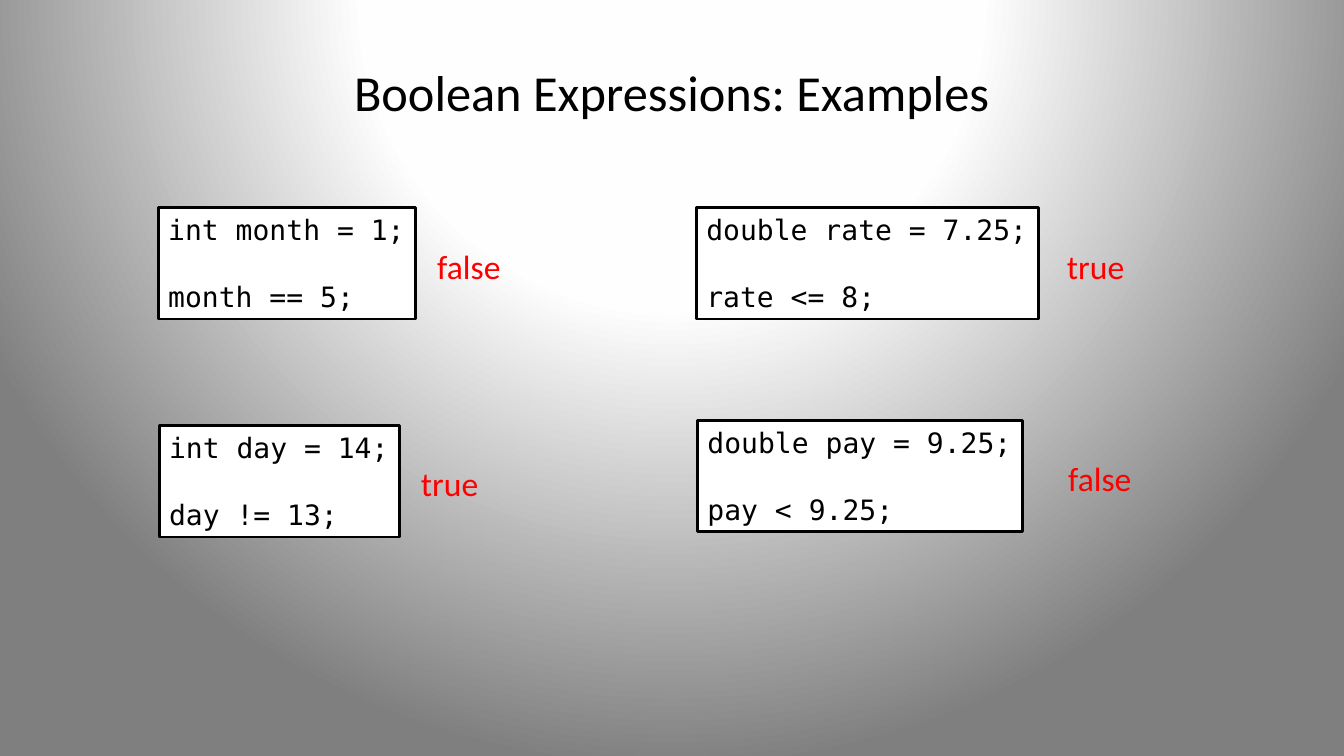
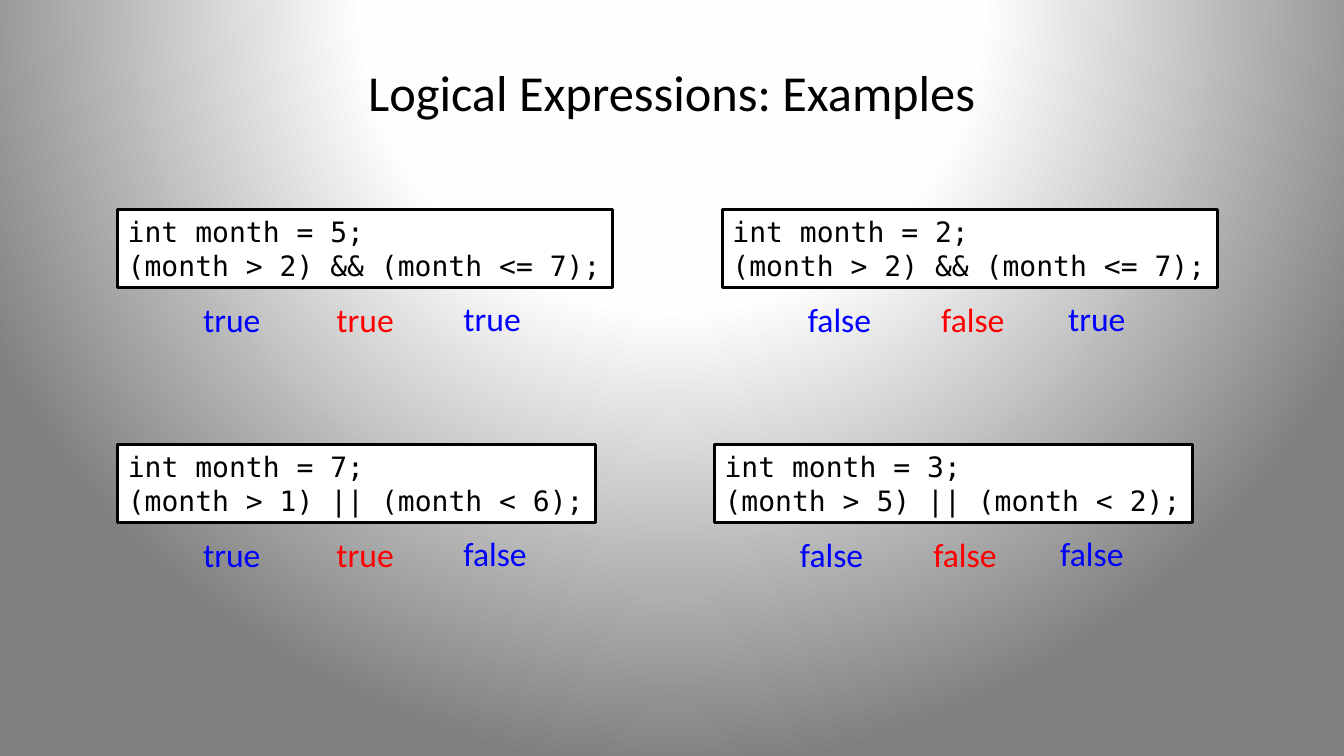
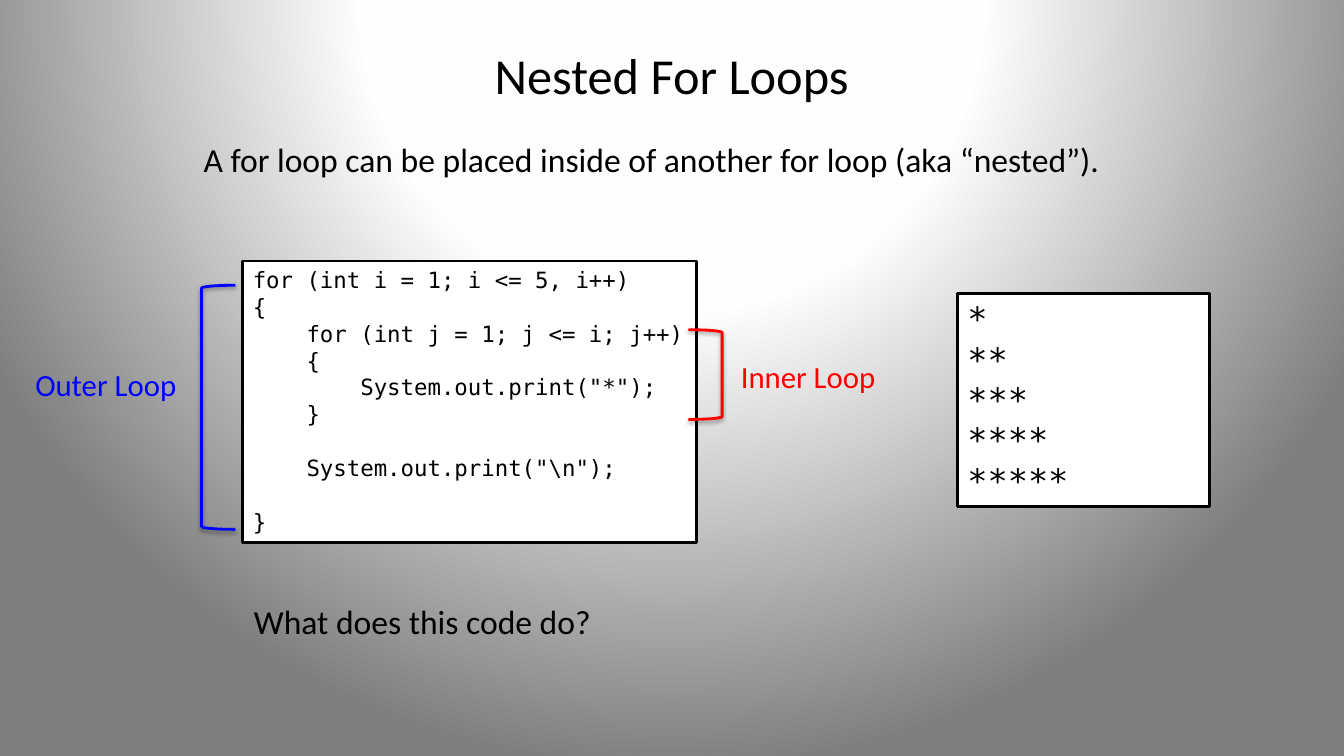
from dataclasses import dataclass

from pptx import Presentation, oxml, util as u
from pptx.dml import color
from pptx.enum import shapes, text
from pptx.oxml import ns

Cm, Pt = u.Cm, u.Pt
HEX = {"black": "000000", "white": "FFFFFF", "red": "FF0000",
       "blue": "0000FF", "near": "FEFEFE", "gray": "7F7F7F"}
SANS, MONO = "Calibri", "DejaVu Sans Mono"
LINE = 0.0427  # line height in cm for each point of text size
WORDS = {"true": 1.98, "false": 2.13}


@dataclass
class Code:
    x: float
    y: float
    lines: list[str]
    size: int = 20
    wide: float | None = None

    @property
    def width(self) -> float:
        longest = max(map(len, self.lines))
        return self.wide or longest * LINE / 2 * self.size + 0.51


@dataclass
class Note:
    x: float
    y: float
    words: str
    wide: float
    hue: str = "black"
    size: int = 24


@dataclass
class Loop:
    kind: shapes.MSO_SHAPE
    x: float
    y: float
    high: float
    hue: str


def tint(hue: str) -> color.RGBColor:
    return color.RGBColor.from_string(HEX[hue])


def tall(lines: int, size: int) -> float:
    """Height in cm of a box that holds this many lines."""
    return lines * LINE * size + 0.25


def write(par, words: str, font: str, size: int, hue: str) -> None:
    run = par.add_run()
    run.text = words
    run.font.name = font
    run.font.size = Pt(size)
    run.font.color.rgb = tint(hue)


def fit(frame, wrap: bool) -> None:
    frame.word_wrap = wrap
    frame.auto_size = text.MSO_AUTO_SIZE.SHAPE_TO_FIT_TEXT
    frame.vertical_anchor = text.MSO_ANCHOR.TOP


def draw_code(slide, code: Code) -> None:
    box = slide.shapes.add_shape(
        shapes.MSO_SHAPE.RECTANGLE, Cm(code.x), Cm(code.y),
        Cm(code.width), Cm(tall(len(code.lines), code.size)))
    box.shadow.inherit = False
    box.fill.solid()
    box.fill.fore_color.rgb = tint("white")
    box.line.color.rgb = tint("black")
    box.line.width = Pt(2)
    frame = box.text_frame
    fit(frame, code.wide is not None)
    for i, line in enumerate(code.lines):
        if not line:
            continue
        par = frame.add_paragraph() if i else frame.paragraphs[0]
        par.alignment = text.PP_ALIGN.LEFT
        if i and not code.lines[i - 1]:
            par.space_before = Pt(1.2 * code.size)
        write(par, line, MONO, code.size, "black")


def draw_note(slide, note: Note) -> None:
    box = slide.shapes.add_textbox(Cm(note.x), Cm(note.y), Cm(note.wide),
                                   Cm(tall(1, note.size)))
    fit(box.text_frame, False)
    write(box.text_frame.paragraphs[0], note.words, SANS, note.size, note.hue)


def draw_loop(slide, loop: Loop) -> None:
    """Draw a bracket with a soft shadow below it."""
    mark = slide.shapes.add_shape(loop.kind, Cm(loop.x), Cm(loop.y),
                                  Cm(0.85), Cm(loop.high))
    mark.fill.background()
    mark.line.color.rgb = tint(loop.hue)
    mark.line.width = Pt(2)
    mark.shadow.inherit = False
    mark.element.spPr.find(ns.qn("a:effectLst")).append(oxml.parse_xml(
        f'<a:outerShdw {ns.nsdecls("a")} blurRad="40000" dist="20000" '
        f'dir="5400000" rotWithShape="0"><a:srgbClr val="{HEX["black"]}">'
        '<a:alpha val="38000"/></a:srgbClr></a:outerShdw>'))


def paint(master) -> None:
    """Give every slide the round white to gray background."""
    master.background.fill.solid()
    solid = master.element.find(".//" + ns.qn("p:bgPr"))[0]
    stops = "".join(
        f'<a:gs pos="{pos}000"><a:srgbClr val="{HEX[hue]}"/></a:gs>'
        for pos, hue in ((0, "white"), (40, "near"), (100, "gray")))
    solid.getparent().replace(solid, oxml.parse_xml(
        f'<a:gradFill {ns.nsdecls("a")} rotWithShape="1">'
        f'<a:gsLst>{stops}</a:gsLst><a:path path="circle"><a:fillToRect '
        'l="50000" t="-80000" r="50000" b="180000"/></a:path></a:gradFill>'))


def add_slide(deck, title: str, top: float = 1.19):
    slide = deck.slides.add_slide(deck.slide_layouts[6])
    box = slide.shapes.add_textbox(Cm(1.69), Cm(top), Cm(30.48), Cm(2.21))
    frame = box.text_frame
    frame.word_wrap = True
    frame.vertical_anchor = text.MSO_ANCHOR.MIDDLE
    par = frame.paragraphs[0]
    par.alignment = text.PP_ALIGN.CENTER
    write(par, title, SANS, 36, "black")
    return slide


def boolean(deck) -> None:
    slide = add_slide(deck, "Boolean Expressions: Examples")
    for x, y, first, last, at, word in (
            (3.99, 5.23, "int month = 1;", "month == 5;", 10.77, "false"),
            (17.55, 5.23, "double rate = 7.25;", "rate <= 8;", 26.64, "true"),
            (4.01, 10.72, "int day = 14;", "day != 13;", 10.36, "true"),
            (17.58, 10.59, "double pay = 9.25;", "pay < 9.25;", 26.67, "false")):
        draw_code(slide, Code(x, y, [first, "", last]))
        draw_note(slide, Note(at, y + 0.83, word, WORDS[word], "red"))


def logical(deck) -> None:
    slide = add_slide(deck, "Logical Expressions: Examples")
    spots = ((1.9, 2.13, "blue"), (5.26, 2.13, "red"), (8.46, 2.11, "blue"))
    both = "(month > 2) && (month <= 7);"
    for x, y, month, test, words in (
            (2.97, 5.28, 5, both, "true true true"),
            (18.21, 5.28, 2, both, "false false true"),
            (2.97, 11.2, 7, "(month > 1) || (month < 6);", "true true false"),
            (18.01, 11.2, 3, "(month > 5) || (month < 2);", "false false false")):
        draw_code(slide, Code(x, y, [f"int month = {month};", test]))
        for word, (right, down, hue) in zip(words.split(), spots):
            draw_note(slide, Note(x + right, y + down, word, WORDS[word], hue))


def nested(deck) -> None:
    slide = add_slide(deck, "Nested For Loops", 0.76)
    draw_code(slide, Code(6.12, 6.58, [
        "for (int i = 1; i <= 5, i++)",
        "{",
        "    for (int j = 1; j <= i; j++)",
        "    {",
        '        System.out.print("*");',
        "    }",
        "",
        r'    System.out.print("\n");',
        "",
        "}"], 16))
    draw_code(slide, Code(24.13, 7.39, ["*" * n for n in range(1, 6)], 24, 6.35))
    kinds = shapes.MSO_SHAPE
    for loop in (Loop(kinds.RIGHT_BRACKET, 17.35, 8.31, 2.26, "red"),
                 Loop(kinds.LEFT_BRACKET, 5.08, 7.19, 6.15, "blue")):
        draw_loop(slide, loop)
    for note in (
            Note(4.88, 3.38, "A for loop can be placed inside of another "
                 "for loop (aka “nested”).", 23.32),
            Note(18.42, 8.89, "Inner Loop", 3.94, "red", 22),
            Note(0.64, 9.09, "Outer Loop", 4.11, "blue", 22),
            Note(6.15, 15.01, "What does this code do?", 9.09)):
        draw_note(slide, note)


def main() -> None:
    deck = Presentation()
    deck.slide_width, deck.slide_height = Cm(33.87), Cm(19.05)
    paint(deck.slide_master)
    for build in (boolean, logical, nested):
        build(deck)
    deck.save("out.pptx")


if __name__ == "__main__":
    main()
